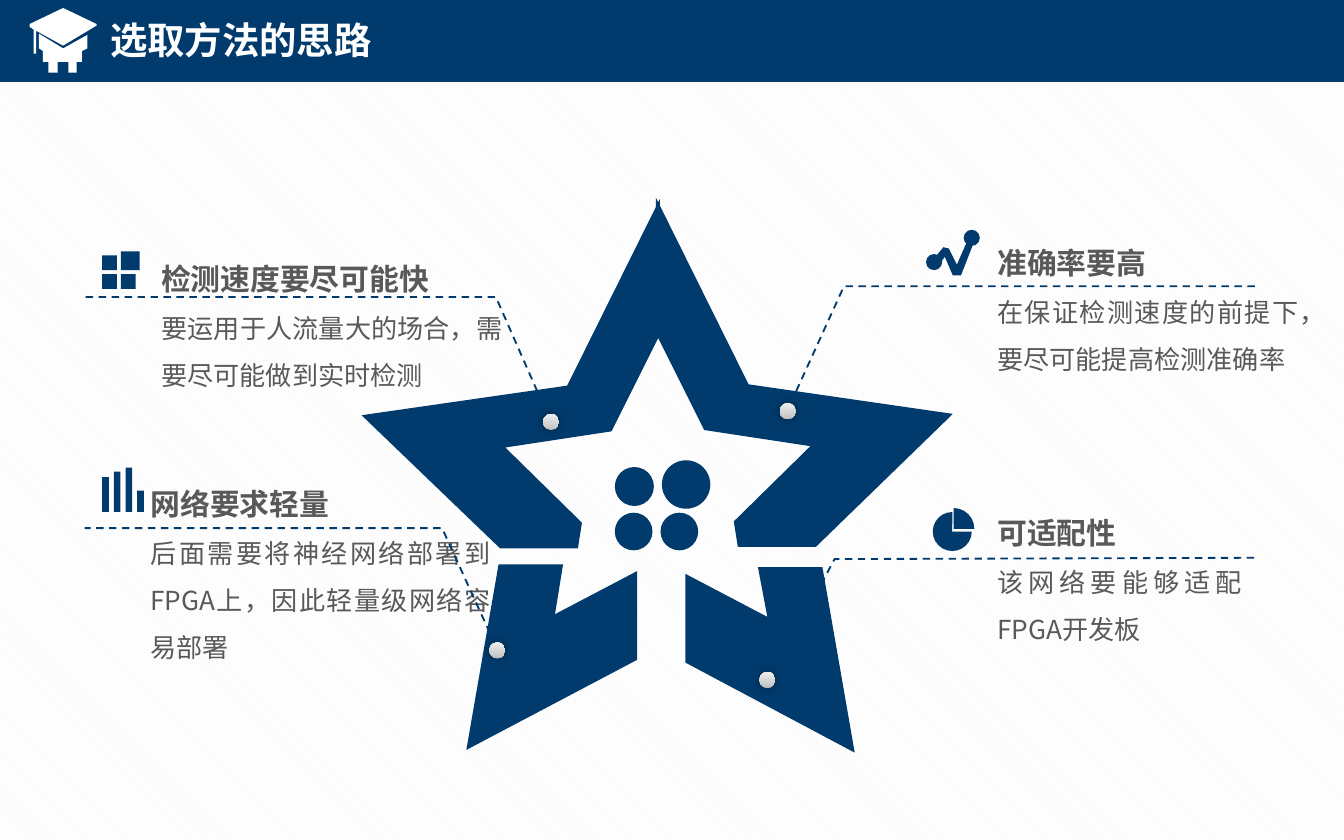
import pptx
import pptx.util
import pptx.dml.color
import pptx.enum.dml
import pptx.enum.shapes
import pptx.enum.text
import pptx.oxml
import pptx.oxml.ns

Inches = pptx.util.Inches
Pt = pptx.util.Pt
SHAPE = pptx.enum.shapes.MSO_SHAPE
ALIGN = pptx.enum.text.PP_ALIGN
NAVY, WHITE, GRAY = "013B6D", "FFFFFF", "595959"
FONT = "Noto Sans CJK SC"


def rgb(value):
    return pptx.dml.color.RGBColor.from_string(value)


def xml(text):
    ns = pptx.oxml.ns.nsdecls("a")
    return pptx.oxml.parse_xml(text.replace(">", f" {ns}>", 1) if "/>" not in text[:text.index(">") + 1]
                               else text.replace("/>", f" {ns}/>", 1))


def paint(sp, color):
    sp.shadow.inherit = False
    sp.fill.solid()
    sp.fill.fore_color.rgb = rgb(color)
    sp.line.fill.background()
    return sp


def shape(s, kind, x, y, w, h, color=NAVY):
    sp = s.shapes.add_shape(kind, Inches(x), Inches(y), Inches(w), Inches(h))
    return paint(sp, color)


def outline(s, points, close):
    points = [(Inches(x), Inches(y)) for x, y in points]
    builder = s.shapes.build_freeform(*points[0])
    builder.add_line_segments(points[1:], close=close)
    return builder.convert_to_shape()


def polygon(s, points, color=NAVY):
    return paint(outline(s, points, True), color)


def leader(s, points):
    sp = outline(s, points, False)
    sp.shadow.inherit = False
    sp.fill.background()
    sp.line.color.rgb = rgb(NAVY)
    sp.line.width = Pt(1)
    sp.line.dash_style = pptx.enum.dml.MSO_LINE.DASH
    sp.line._get_or_add_ln().append(xml('<a:headEnd type="oval"/>'))


def marker(s, x, y):
    """Silver dot with a soft shadow."""
    sp = shape(s, SHAPE.OVAL, x, y, 0.12, 0.12)
    stops = "".join(f'<a:gs pos="{pos}000"><a:srgbClr val="{color}"/></a:gs>'
                    for pos, color in [(0, "BDBDBD"), (35, "D1D1D1"), (100, "EEEEEE")])
    pr = sp._element.spPr
    pr.replace(pr.find(pptx.oxml.ns.qn("a:solidFill")), xml(
        f'<a:gradFill><a:gsLst>{stops}</a:gsLst><a:lin ang="16200000" scaled="0"/></a:gradFill>'))
    pr.find(pptx.oxml.ns.qn("a:effectLst")).append(xml(
        f'<a:outerShdw blurRad="{Pt(5)}" dist="0" dir="0"><a:srgbClr val="000000">'
        '<a:alpha val="40000"/></a:srgbClr></a:outerShdw>'))


def text(s, x, y, w, h, lines, color, insets=(0.1, 0.05), align=ALIGN.LEFT, spacing=1.0):
    """lines holds (words, size, bold) for each paragraph."""
    tf = s.shapes.add_textbox(Inches(x), Inches(y), Inches(w), Inches(h)).text_frame
    tf.word_wrap = True
    tf.margin_left = tf.margin_right = Inches(insets[0])
    tf.margin_top = tf.margin_bottom = Inches(insets[1])
    for i, (words, size, bold) in enumerate(lines):
        p = tf.add_paragraph() if i else tf.paragraphs[0]
        p.add_run().text = words
        p.alignment = align
        p.line_spacing = spacing
        p.font.name = FONT
        p.font.size = Pt(size)
        p.font.bold = bold
        p.font.color.rgb = rgb(color)
        p.font._element.find(pptx.oxml.ns.qn("a:latin")).addnext(xml(f'<a:ea typeface="{FONT}"/>'))


def header(s):
    shape(s, SHAPE.RECTANGLE, 0, 0, 10, 0.61)
    # Graduation cap: board with tassel, then head
    polygon(s, [(0.22, 0.2), (0.25, 0.22), (0.25, 0.4), (0.27, 0.4), (0.27, 0.23),
                (0.47, 0.34), (0.72, 0.19), (0.72, 0.18), (0.47, 0.06), (0.22, 0.18)], WHITE)
    polygon(s, [(0.29, 0.25), (0.47, 0.36), (0.65, 0.26), (0.65, 0.36), (0.61, 0.38),
                (0.61, 0.46), (0.57, 0.46), (0.57, 0.54), (0.51, 0.54), (0.51, 0.46),
                (0.43, 0.46), (0.43, 0.54), (0.36, 0.54), (0.36, 0.46), (0.32, 0.46),
                (0.32, 0.38), (0.29, 0.36)], WHITE)
    text(s, 0.72, 0.08, 3.81, 0.44, [("选取方法的思路", 20, True)], WHITE)


def star(s):
    for piece in [
        [(5.1, 4.27), (5.1, 4.93), (6.36, 5.6), (6.12, 4.22), (5.64, 4.22), (5.71, 4.59)],
        [(4.74, 4.25), (4.13, 4.57), (4.19, 4.2), (3.71, 4.2), (3.47, 5.58), (4.74, 4.91)],
        [(5.57, 2.86), (4.88, 1.47), (4.88, 2.48), (5.24, 3.2), (6.03, 3.32), (5.46, 3.88),
         (5.49, 4.07), (6.07, 4.07), (7.09, 3.08)],
        [(4.22, 2.87), (2.69, 3.09), (3.72, 4.08), (4.3, 4.08), (4.33, 3.89), (3.76, 3.33),
         (4.55, 3.21), (4.91, 2.49), (4.91, 1.48)],
    ]:
        polygon(s, piece)
    # Four discs in the middle
    for x, y, size in [(4.58, 3.48, 0.28), (4.93, 3.43, 0.35), (4.58, 3.82, 0.27), (4.92, 3.82, 0.27)]:
        sp = shape(s, SHAPE.OVAL, x, y, size, size)
        sp.line.color.rgb = rgb(NAVY)
        sp.line.width = Pt(0.75)


def icons(s):
    # Trend line
    polygon(s, [(6.97, 1.9), (7.02, 1.84), (7.06, 1.85), (7.12, 1.97), (7.19, 1.81), (7.24, 1.82),
                (7.15, 2.05), (7.09, 2.05), (7.03, 1.91), (7.01, 1.94)])
    for x, y in [(6.89, 1.89), (7.17, 1.71)]:
        shape(s, SHAPE.OVAL, x, y, 0.12, 0.12)
    # Tiles
    for x, y, size in [(0.76, 1.9, 0.11), (0.9, 1.87, 0.14), (0.76, 2.04, 0.11), (0.9, 2.04, 0.11)]:
        shape(s, SHAPE.RECTANGLE, x, y, size, size)
    # Pie with its quarter set apart
    shape(s, SHAPE.PIE, 6.94, 3.81, 0.29, 0.29)
    quarter = shape(s, SHAPE.PIE, 6.94, 3.78, 0.31, 0.31)
    quarter.adjustments[0], quarter.adjustments[1] = 162, 0
    # Bars on one base line
    for i, height in enumerate([0.26, 0.3, 0.33, 0.16]):
        shape(s, SHAPE.RECTANGLE, 0.76 + 0.087 * i, 3.81 - height, 0.05, height)


def main():
    prs = pptx.Presentation()
    prs.slide_width, prs.slide_height = Inches(10), Inches(6.25)
    s = prs.slides.add_slide(prs.slide_layouts[6])
    bg = s.background.fill
    bg.patterned()
    bg.pattern = pptx.enum.dml.MSO_PATTERN.LIGHT_DOWNWARD_DIAGONAL
    bg.fore_color.rgb, bg.back_color.rgb = rgb("F2F2F2"), rgb(WHITE)

    header(s)
    star(s)
    # Captions: box, heading, body, leader points, marker corner
    captions = [
        ((7.29, 1.62, 2.51, 1.55), "准确率要高", "在保证检测速度的前提下，要尽可能提高检测准确率",
         [(5.87, 3.03), (6.28, 2.13), (9.37, 2.13)], (5.8, 3)),
        ((1.07, 1.74, 2.8, 1.5), "检测速度要尽可能快", "要运用于人流量大的场合，需要尽可能做到实时检测",
         [(4.09, 3.12), (3.69, 2.21), (0.63, 2.21)], (4.04, 3.08)),
        ((0.99, 3.41, 2.79, 1.6), "网络要求轻量", "后面需要将神经网络部署到FPGA上，因此轻量级网络容易部署",
         [(3.7, 4.83), (3.29, 3.93), (0.63, 3.93)], (3.64, 4.78)),
        ((7.29, 3.63, 2.08, 2), "可适配性", "该网络要能够适配FPGA开发板",
         [(5.73, 5.06), (6.21, 4.16), (9.37, 4.15)], (5.65, 5)),
    ]
    for box, heading, body, points, corner in captions:
        text(s, *box, [(heading, 16, True), (body, 14, False)], GRAY,
             (0.13, 0.07), ALIGN.JUSTIFY, 1.5)
        leader(s, points)
        marker(s, *corner)
    icons(s)
    prs.save("out.pptx")


main()
